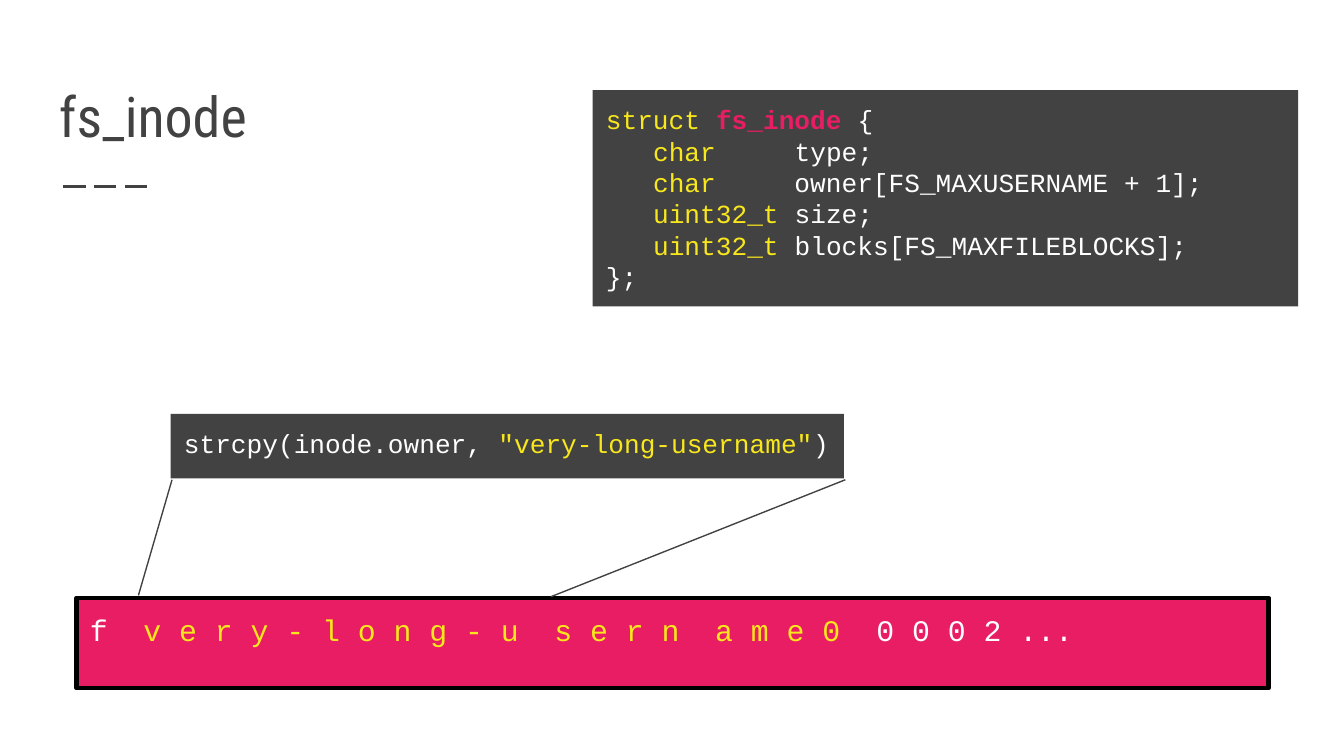
from lxml import etree
from pptx import Presentation
from pptx.dml.color import RGBColor
from pptx.enum import dml, shapes, text
from pptx.oxml import ns
from pptx.util import Inches, Pt

DARK = RGBColor(0x42, 0x42, 0x42)
YELLOW = RGBColor(0xF8, 0xE7, 0x1C)
PINK = RGBColor(0xE9, 0x1D, 0x63)
WHITE = RGBColor(0xFF, 0xFF, 0xFF)
BLACK = RGBColor(0, 0, 0)
CODE_FONT = "Courier New"
TITLE_FONT = "Roboto Condensed"

TITLE = [[("fs_inode", DARK)]]
FIELDS = [
    ("char     ", "type;"),
    ("char ", "    owner[FS_MAXUSERNAME + 1];"),
    ("uint32_t ", "size;"),
    ("uint32_t ", "blocks[FS_MAXFILEBLOCKS];"),
]
STRUCT = [
    [("struct ", YELLOW), ("fs_inode ", PINK), ("{", WHITE)],
    *[[("   ", WHITE), (kind, YELLOW), (name, WHITE)] for kind, name in FIELDS],
    [("};", WHITE)],
]
MEMORY = [[
    ("f  ", WHITE),
    ("v e r y - l o n g - u  s e r n  a m e 0", YELLOW),
    ("  0 0 0 2 ...", WHITE),
]]
CALL = [[
    ("strcpy(inode.owner, ", WHITE),
    ('"very-long-username"', YELLOW),
    (")", WHITE),
]]
PANELS = [
    (STRUCT, (4.41, 0.67, 5.25, 1.61), DARK, None, 14, 0.1),
    (MEMORY, (0.57, 4.45, 8.87, 0.67), PINK, BLACK, 16, 0),
    (CALL, (1.27, 3.08, 5.01, 0.48), DARK, None, 14, 0.1),
]
GUIDES = [(1.28, 3.57, 1.03, 4.43), (6.29, 3.57, 4.1, 4.44)]


def write(box, lines, font, size, anchor, right=0.1):
    frame = box.text_frame
    frame.word_wrap = True
    frame.vertical_anchor = anchor
    frame.margin_left = frame.margin_top = frame.margin_bottom = Inches(0.1)
    frame.margin_right = Inches(right)
    for number, line in enumerate(lines):
        para = frame.add_paragraph() if number else frame.paragraphs[0]
        para.alignment = text.PP_ALIGN.LEFT
        for words, color in line:
            span = para.add_run()
            span.text = words
            span.font.name = font
            span.font.size = Pt(size)
            span.font.bold = color == PINK
            span.font.color.rgb = color


def add_panel(page, lines, place, fill, border, size, right):
    box = page.shapes.add_shape(shapes.MSO_SHAPE.RECTANGLE, *map(Inches, place))
    box.shadow.inherit = False
    box.fill.solid()
    box.fill.fore_color.rgb = fill
    if border is None:
        box.line.fill.background()
    else:
        box.line.color.rgb = border
        box.line.width = Pt(2.5)
    write(box, lines, CODE_FONT, size, text.MSO_ANCHOR.TOP, right)


def add_line(page, ends, width):
    line = page.shapes.add_connector(shapes.MSO_CONNECTOR.STRAIGHT, *map(Inches, ends))
    line.line.color.rgb = DARK
    line.line.width = Pt(width)
    etree.SubElement(line._element.spPr, ns.qn("a:effectLst"))
    return line


def main():
    deck = Presentation()
    deck.slide_width = Inches(10)
    deck.slide_height = deck.slide_width * 9 // 16
    page = deck.slides.add_slide(deck.slide_layouts[6])

    rule = add_line(page, (0.47, 1.39, 1.14, 1.39), 1.5)
    rule.line.dash_style = dml.MSO_LINE.LONG_DASH
    title = page.shapes.add_textbox(*map(Inches, (0.34, 0.41, 9.32, 0.8)))
    write(title, TITLE, TITLE_FONT, 30, text.MSO_ANCHOR.BOTTOM)
    for panel in PANELS:
        add_panel(page, *panel)
    for ends in GUIDES:
        add_line(page, ends, 0.75)

    deck.save("out.pptx")


if __name__ == "__main__":
    main()
